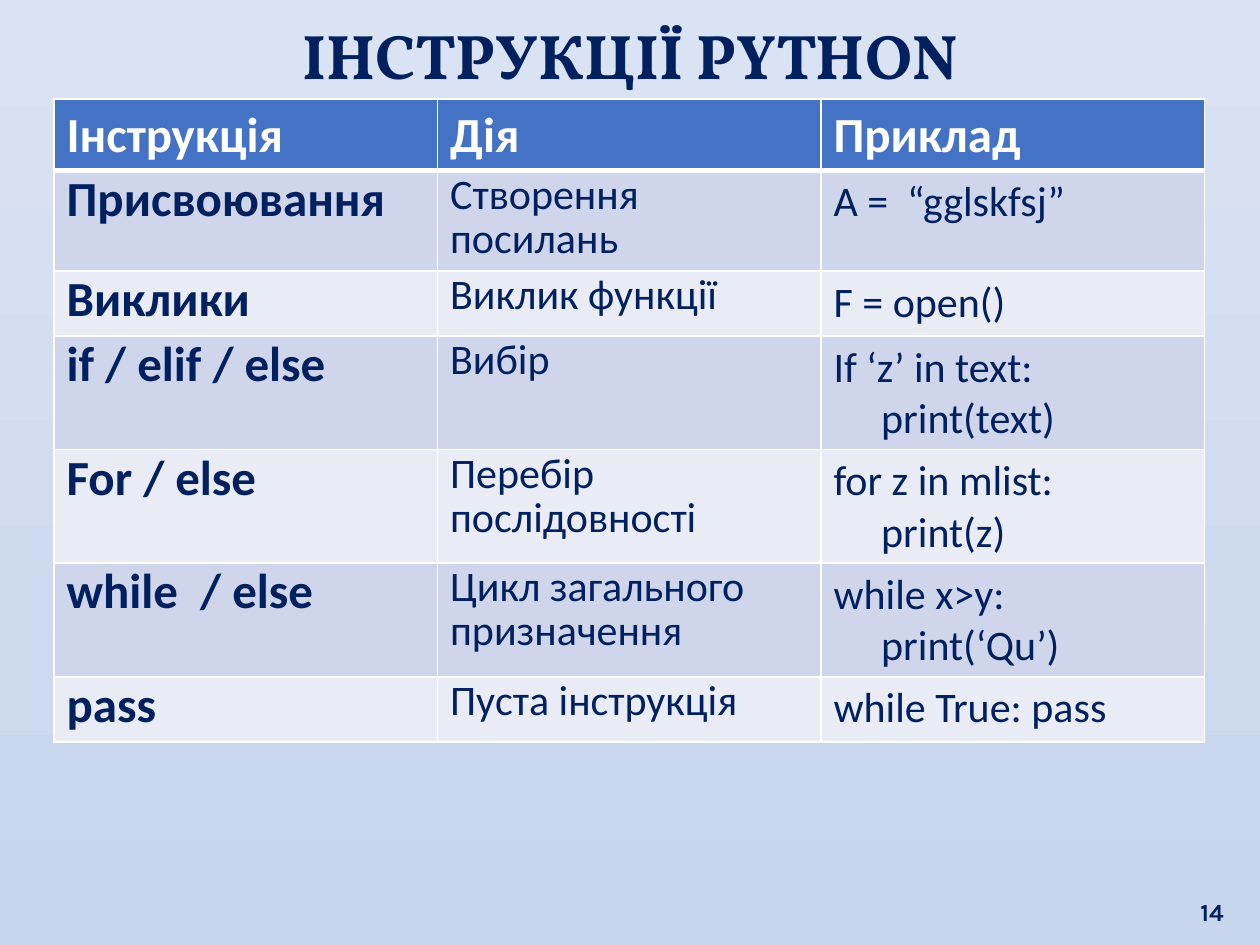
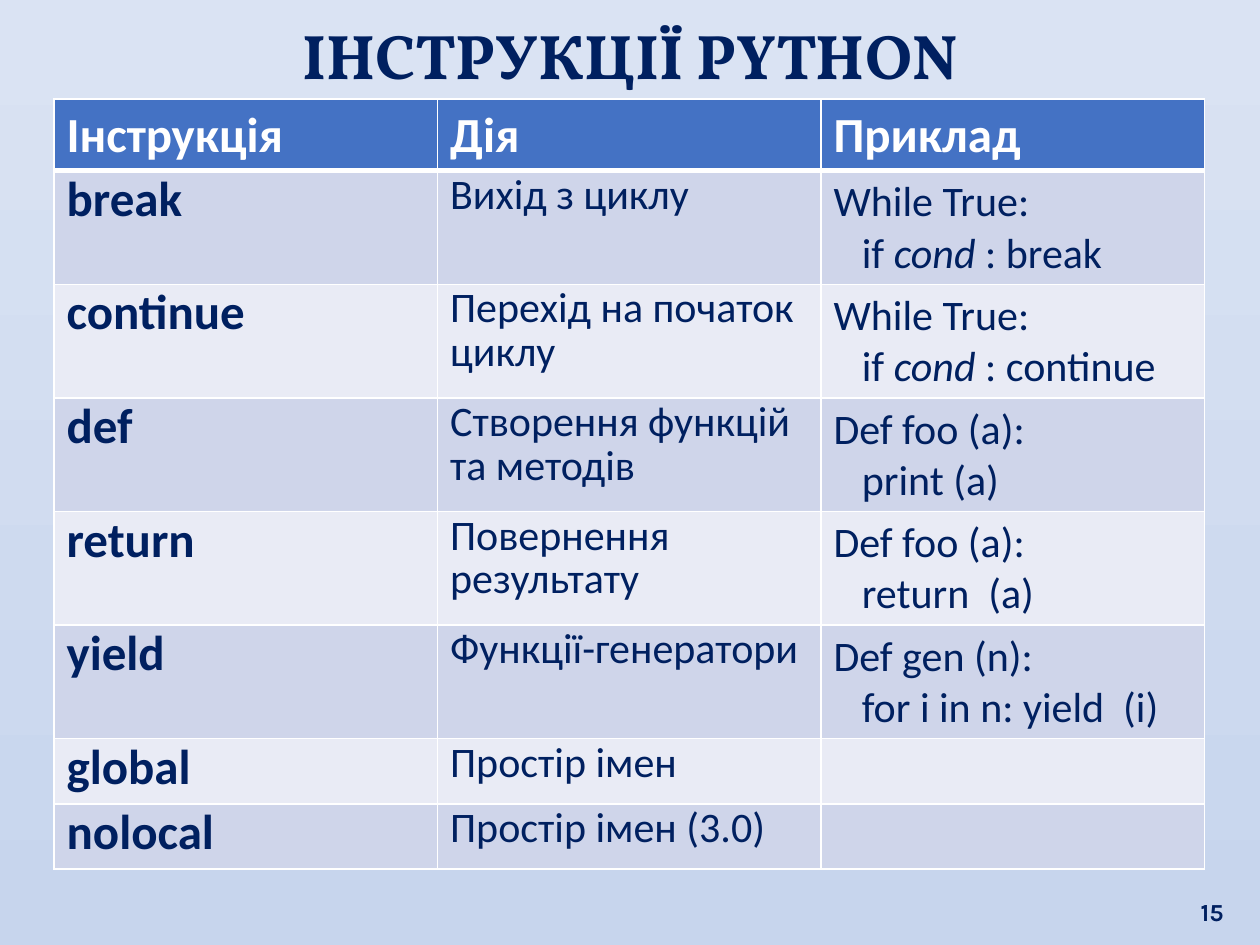
from dataclasses import dataclass

from pptx import Presentation
from pptx.dml.color import RGBColor
from pptx.enum.text import MSO_ANCHOR, MSO_AUTO_SIZE, PP_ALIGN
from pptx.oxml.ns import qn
from pptx.util import Cm, Pt
from lxml import etree

TOP, BOTTOM = MSO_ANCHOR.TOP, MSO_ANCHOR.BOTTOM
CENTER, RIGHT = PP_ALIGN.CENTER, PP_ALIGN.RIGHT
GROW = MSO_AUTO_SIZE.SHAPE_TO_FIT_TEXT
TITLE_ONLY = 5


@dataclass(frozen=True)
class Theme:
    # Colours
    ink: str = "002060"
    white: str = "FFFFFF"
    head: str = "4472C4"
    bands: tuple = ("CFD5EA", "E9EBF5")
    sky: tuple = ("DAE3F3", "C7D5ED")
    # Fonts and sizes
    serif: str = "Vollkorn"
    sans: str = "Calibri"
    digit: str = "Karla"
    title: int = 36
    term: int = 28
    text: int = 24
    page: int = 14
    # Line pitch of the first two columns
    term_gap: int = 30
    text_gap: int = 25


# Row heights in cm: header, one line, wrapped action, two lines of code
HEAD, ONE, WRAP, TWO = 1.44, 1.31, 2.01, 2.29

TITLE = "ІНСТРУКЦІЇ PYTHON"
HEADER = ("Інструкція", "Дія", "Приклад")

# Each row: height, term, action, code lines
# A code line may be a tuple of runs, with the second one in italics
BASIC = [
    (WRAP, "Присвоювання", "Створення посилань", ["A =  “gglskfsj”"]),
    (ONE, "Виклики", "Виклик функції", ["F = open()"]),
    (TWO, "if / elif / else", "Вибір", ["If ‘z’ in text:", "print(text)"]),
    (TWO, "For / else", "Перебір послідовності",
     ["for z in mlist:", "print(z)"]),
    (TWO, "while  / else", "Цикл загального призначення",
     ["while x>y:", "print(‘Qu’)"]),
    (ONE, "pass", "Пуста інструкція", ["while True: pass"]),
]
FLOW = [
    (TWO, "break", "Вихід з циклу",
     ["While True:", ("if ", "cond ", ": break")]),
    (TWO, "continue", "Перехід на початок циклу",
     ["While True:", ("if ", "cond ", ": continue")]),
    (TWO, "def", "Створення функцій та методів",
     ["Def foo (a):", "print (a)"]),
    (TWO, "return", "Повернення результату",
     ["Def foo (a):", "return  (a)"]),
    (TWO, "yield", "Функції-генератори",
     ["Def gen (n):", "for i in n: yield  (i)"]),
    (ONE, "global", "Простір імен", []),
    (ONE, "nolocal", "Простір імен (3.0)", []),
]

# Slides: page number, code indent in cm, rows
PAGES = [(14, 0.96, BASIC), (15, 0.57, FLOW)]


class Deck:
    def __init__(self, theme):
        self.theme = theme
        self.prs = Presentation()
        self.prs.slide_width, self.prs.slide_height = Cm(25.4), Cm(19.05)
        self.slide = None
        # Shared background
        fill = self.prs.slide_master.background.fill
        fill.gradient()
        fill.gradient_angle = 270
        for stop, tone in zip(fill.gradient_stops, theme.sky):
            stop.color.rgb = RGBColor.from_string(tone)

    def add(self):
        layout = self.prs.slide_layouts[TITLE_ONLY]
        self.slide = self.prs.slides.add_slide(layout)

    def run(self, par, text, size, font, tone, bold=False, slant=False):
        run = par.add_run()
        run.text = text
        run.font.size, run.font.name = Pt(size), font
        run.font.bold, run.font.italic = bold, slant
        run.font.color.rgb = RGBColor.from_string(tone)

    def title(self, text):
        t, box = self.theme, self.slide.shapes.title
        box.left, box.top = Cm(0.3), Cm(0.2)
        box.width, box.height = Cm(24.8), Cm(1.8)
        frame = box.text_frame
        frame.vertical_anchor, frame.auto_size = TOP, GROW
        par = frame.paragraphs[0]
        par.alignment = CENTER
        self.run(par, text, t.title, t.serif, t.ink, bold=True)

    def page(self, num):
        t = self.theme
        box = self.slide.shapes.add_textbox(
            Cm(23.7), Cm(17.53), Cm(1.22), Cm(1.27))
        frame = box.text_frame
        frame.word_wrap, frame.vertical_anchor = True, BOTTOM
        par = frame.paragraphs[0]
        par.alignment = RIGHT
        self.run(par, str(num), t.page, t.digit, t.ink, bold=True)

    def paint(self, cell, tone, top=1, base=1):
        # Borders go before the fill in the cell properties
        props = cell._tc.get_or_add_tcPr()
        for side, width in (("L", 1), ("R", 1), ("T", top), ("B", base)):
            line = etree.SubElement(props, qn("a:ln" + side), w=str(Pt(width)))
            fill = etree.SubElement(line, qn("a:solidFill"))
            etree.SubElement(fill, qn("a:srgbClr"), val=self.theme.white)
        cell.fill.solid()
        cell.fill.fore_color.rgb = RGBColor.from_string(tone)

    def code(self, cell, lines, indent):
        t, frame = self.theme, cell.text_frame
        for i, line in enumerate(lines):
            par = frame.add_paragraph() if i else frame.paragraphs[0]
            if i:
                par._p.get_or_add_pPr().set("marL", str(Cm(indent)))
            parts = (line,) if isinstance(line, str) else line
            for j, part in enumerate(parts):
                self.run(par, part, t.text, t.sans, t.ink, slant=j == 1)

    def table(self, rows, indent):
        t = self.theme
        sizes = [HEAD] + [row[0] for row in rows]
        grid = self.slide.shapes.add_table(
            len(sizes), len(HEADER), Cm(1.09), Cm(2), Cm(23.19),
            Cm(sum(sizes))).table
        for row, size in zip(grid.rows, sizes):
            row.height = Cm(size)
        # Header row
        for cell, text in zip(grid.rows[0].cells, HEADER):
            self.paint(cell, t.head, base=3)
            self.run(cell.text_frame.paragraphs[0], text, t.term, t.sans,
                     t.white, bold=True)
        # Banded rows
        for i, (_, term, action, lines) in enumerate(rows):
            cells = list(grid.rows[i + 1].cells)
            for cell in cells:
                self.paint(cell, t.bands[i % 2], top=1 if i else 3)
            for cell, text, size, gap, bold in (
                    (cells[0], term, t.term, t.term_gap, True),
                    (cells[1], action, t.text, t.text_gap, False)):
                par = cell.text_frame.paragraphs[0]
                par.line_spacing = Pt(gap)
                self.run(par, text, size, t.sans, t.ink, bold)
            self.code(cells[2], lines, indent)


def main():
    deck = Deck(Theme())
    for num, indent, rows in PAGES:
        deck.add()
        deck.title(TITLE)
        deck.page(num)
        deck.table(rows, indent)
    deck.prs.save("out.pptx")


if __name__ == "__main__":
    main()
